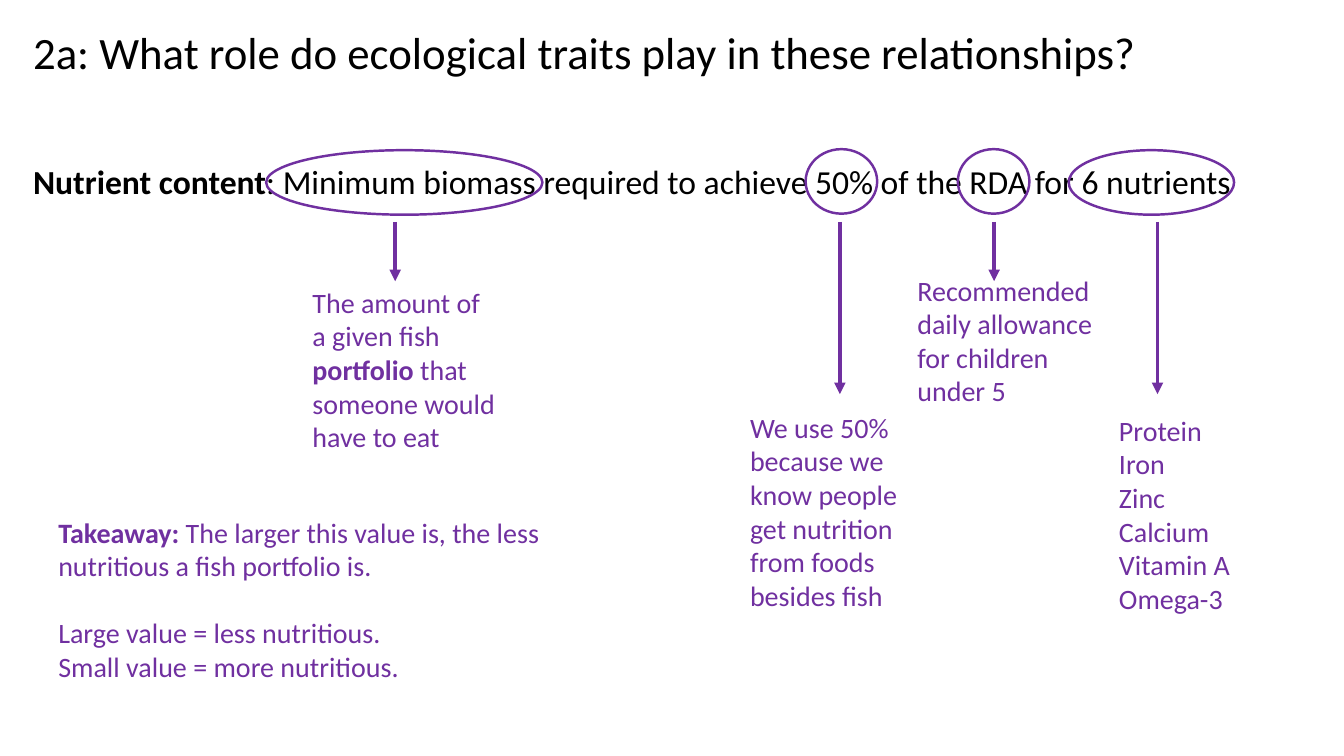
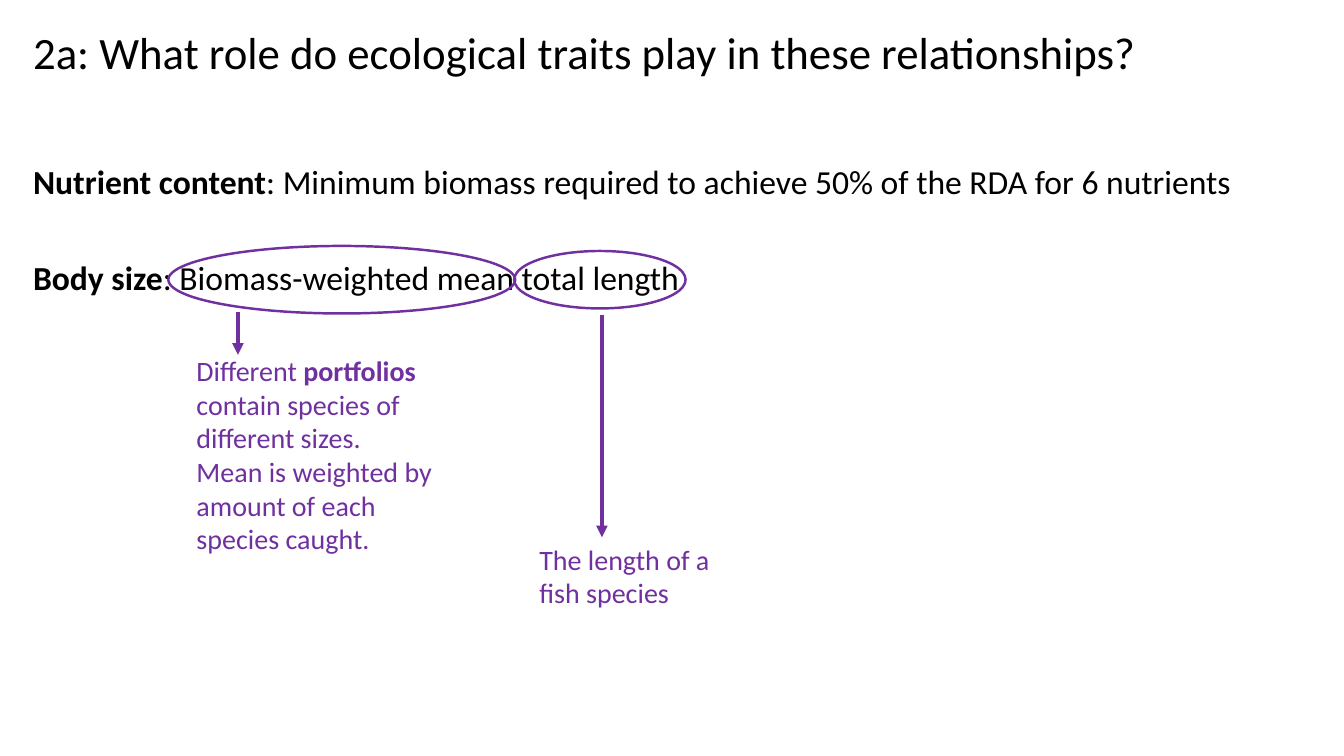
from lxml import etree
from pptx import Presentation
from pptx.dml.color import RGBColor
from pptx.enum.shapes import MSO_CONNECTOR, MSO_SHAPE
from pptx.enum.text import MSO_AUTO_SIZE
from pptx.oxml.ns import qn
from pptx.util import Emu, Pt

OVAL = MSO_SHAPE.OVAL
STRAIGHT = MSO_CONNECTOR.STRAIGHT
GROW = MSO_AUTO_SIZE.SHAPE_TO_FIT_TEXT

BLACK = RGBColor(0x00, 0x00, 0x00)
PURPLE = RGBColor(0x70, 0x30, 0xA0)
FONT = "Calibri"
SCALE = 9144  # EMU in one px, 100 px to the inch
LEFT = 23

TITLE = "2a: What role do ecological traits play in these relationships?"
NUTRIENT = ("Nutrient content",
            ": Minimum biomass required to achieve 50% of the RDA for 6 nutrients")
BODY = ("Body size", ": Biomass-weighted mean total length")


def px(*vals):
    return [Emu(val * SCALE) for val in vals]


def add_text(slide, box, paras, size, color, wrap=True, gaps=None):
    """Each paragraph is a list of (text, bold) runs; gaps maps its index to points before."""
    frame = slide.shapes.add_textbox(*px(*box)).text_frame
    frame.word_wrap = wrap
    frame.auto_size = GROW
    for i, runs in enumerate(paras):
        para = frame.paragraphs[0] if i == 0 else frame.add_paragraph()
        if gaps and i in gaps:
            para.space_before = Pt(gaps[i])
        for text, bold in runs:
            run = para.add_run()
            run.text = text
            font = run.font
            font.name, font.size, font.bold = FONT, Pt(size), bold
            font.color.rgb = color


def add_title(slide):
    add_text(slide, (LEFT, 20, 1145, 64), [[(TITLE, False)]], 32, BLACK)


def add_term(slide, top, width, term):
    name, text = term
    add_text(slide, (LEFT, top, width, 50), [[(name, True), (text, False)]],
             24, BLACK, wrap=False)


def add_note(slide, box, *paras, gaps=None):
    add_text(slide, box, paras, 20, PURPLE, gaps=gaps)


def add_ring(slide, *box):
    ring = slide.shapes.add_shape(OVAL, *px(*box))
    ring.shadow.inherit = False
    ring.fill.background()
    ring.line.color.rgb = PURPLE
    ring.line.width = Pt(1.75)


def add_arrow(slide, x, top, end):
    arrow = slide.shapes.add_connector(STRAIGHT, *px(x, top, x, end))
    arrow.line.color.rgb = PURPLE
    arrow.line.width = Pt(2.75)
    props = arrow._element.spPr
    etree.SubElement(props.find(qn("a:ln")), qn("a:tailEnd"), type="triangle")
    etree.SubElement(props, qn("a:effectLst"))


def add_nutrient(slide):
    add_title(slide)
    add_term(slide, 155, 1214, NUTRIENT)
    for left, top, width in ((264, 149, 274), (799, 148, 71),
                             (950, 148, 71), (1060, 149, 164)):
        add_ring(slide, left, top, width, 64)
    for x, end in ((392, 279), (833, 391), (986, 279), (1148, 391)):
        add_arrow(slide, x, 220, end)
    add_note(slide, (300, 278, 201, 178),
             [("The amount of a given fish ", False), ("portfolio", True),
              (" that someone would have to eat", False)])
    add_note(slide, (734, 402, 201, 212),
             [("We use 50% because we know people get nutrition "
               "from foods besides fish", False)])
    add_note(slide, (900, 266, 201, 145),
             [("Recommended daily allowance for children under 5", False)])
    names = ("Protein", "Iron", "Zinc", "Calcium", "Vitamin A", "Omega-3")
    add_note(slide, (1100, 405, 137, 212), *[[(name, False)] for name in names])
    add_note(slide, (48, 506, 530, 178),
             [("Takeaway: ", True),
              ("The larger this value is, the less nutritious a fish portfolio is.",
               False)],
             [("Large value = less nutritious.", False)],
             [("Small value = more nutritious.", False)],
             gaps={1: 24})


def add_body(slide):
    add_title(slide)
    add_term(slide, 155, 1214, NUTRIENT)
    add_term(slide, 250, 667, BODY)
    add_ring(slide, 167, 244, 344, 67)
    add_ring(slide, 510, 249, 170, 57)
    add_arrow(slide, 236, 310, 352)
    add_arrow(slide, 597, 313, 533)
    add_note(slide, (185, 346, 270, 212),
             [("Different ", False), ("portfolios", True),
              (" contain species of different sizes.", False)],
             [("Mean is weighted by amount of each species caught.", False)])
    add_note(slide, (525, 533, 201, 77), [("The length of a fish species", False)])


def main():
    deck = Presentation()
    deck.slide_width, deck.slide_height = px(1333, 750)
    blank = deck.slide_layouts[6]
    for build in (add_nutrient, add_body):
        build(deck.slides.add_slide(blank))
    deck.save("out.pptx")


if __name__ == "__main__":
    main()
